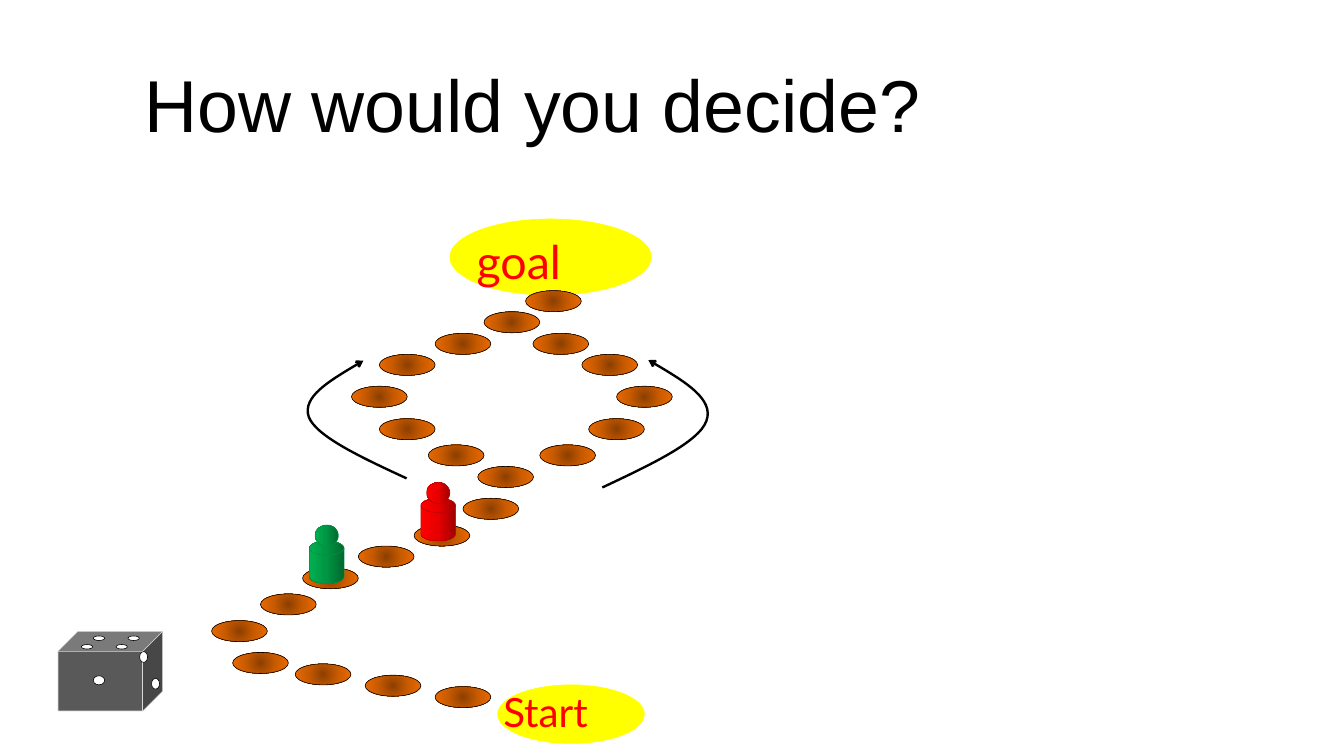
from lxml import etree
from pptx import Presentation
from pptx.dml.color import RGBColor
from pptx.enum.shapes import MSO_SHAPE
from pptx.enum.text import MSO_AUTO_SIZE
from pptx.oxml import parse_xml
from pptx.oxml.ns import nsdecls, qn
from pptx.util import Emu, Pt

OVAL, DISK, CUBE = MSO_SHAPE.OVAL, MSO_SHAPE.FLOWCHART_MAGNETIC_DISK, MSO_SHAPE.CUBE
FIT_SHAPE = MSO_AUTO_SIZE.SHAPE_TO_FIT_TEXT
PX = 9144  # one px is a hundredth of an inch
RADIAL = '<a:path path="circle"><a:fillToRect l="50000" t="50000" r="50000" b="50000"/></a:path>'
LEFTWARD = '<a:lin ang="10800000" scaled="0"/>'
BROWNS = ("8D4000", "C85B00", "EE6B00")
REDS = ("A00000", "E60000", "FF0000")
GREENS = ("00682F", "009443", "00B050")

deck = Presentation()
deck.slide_width, deck.slide_height = Emu(2363 * PX), Emu(1329 * PX)
page = deck.slides.add_slide(deck.slide_layouts[6])


def add_part(kind, left, top, width, height, fill, line, shading=None):
    """Add a shape; fill is one colour, or three colours with a shading."""
    part = page.shapes.add_shape(kind, *(Emu(n * PX) for n in (left, top, width, height)))
    part.shadow.inherit = False
    part.line.color.rgb = RGBColor.from_string(line)
    part.line.width = Pt(0.75)
    if shading is None:
        part.fill.solid()
        part.fill.fore_color.rgb = RGBColor.from_string(fill)
    else:
        part.fill.background()
        stops = "".join(f'<a:gs pos="{i * 50000}"><a:srgbClr val="{c}"/></a:gs>'
                        for i, c in enumerate(fill))
        properties = part.element.spPr
        properties.replace(properties.find(qn("a:noFill")), parse_xml(
            f'<a:gradFill {nsdecls("a")} rotWithShape="1"><a:gsLst>{stops}</a:gsLst>'
            f'{shading}</a:gradFill>'))
    return part


def add_label(words, left, top, width, height, size, font, color):
    """Add a one-line text box and return its frame."""
    box = page.shapes.add_textbox(*(Emu(n * PX) for n in (left, top, width, height)))
    frame = box.text_frame
    frame.word_wrap = False
    frame.auto_size = FIT_SHAPE
    para = frame.paragraphs[0]
    para.text = words
    para.font.size = Pt(size)
    para.font.name = font
    para.font.color.rgb = RGBColor.from_string(color)
    return frame


# Goal field
add_part(OVAL, 791, 385, 354, 134, "FFFF00", "FFFF00")
add_label("goal", 828, 404, 173, 109, 59, "Lato", "FF0000")

# Stepping stones: path from the start, left branch, right branch, way to the goal
stones = [
    (765, 1207), (642, 1187), (519, 1167), (409, 1147), (372, 1091), (458, 1044),
    (532, 998), (630, 960), (728, 923), (814, 876), (840, 820),
    (753, 782), (667, 736), (618, 679), (667, 623), (765, 586),
    (949, 782), (1035, 736), (1084, 679), (1023, 623), (937, 586),
    (851, 548), (924, 511),
]
for left, top in stones:
    add_part(OVAL, left, top, 98, 37, BROWNS, "000000", RADIAL)

# Start field
add_part(OVAL, 875, 1204, 258, 103, "FFFF00", "FFFF00")
add_label("Start", 875, 1204, 171, 96, 51, "Lato", "FF0000")

# Playing pieces: body and head
for left, top, shades, edge in ((740, 848, REDS, "C00000"), (544, 923, GREENS, "009242")):
    add_part(DISK, left, top + 28, 61, 75, shades, edge, LEFTWARD)
    add_part(OVAL, left + 10, top, 41, 37, shades, edge, LEFTWARD)

# Die with its pips
add_part(CUBE, 102, 1110, 184, 140, "595959", "D9D9D9")
top_pips = [(164, 1118), (225, 1118), (143, 1133), (204, 1133)]
for left, top in top_pips:
    add_part(OVAL, left, top, 20, 8, "FFFFFF", "000000")
add_part(OVAL, 164, 1188, 20, 16, "FFFFFF", "000000")
for left, top in ((243, 1148), (264, 1195)):
    add_part(OVAL, left, top, 19, 14, "FFFFFF", "000000").rotation = 270

# Curved arrows around both branches: a start, then three points per Bézier segment
arrows = [
    [(715, 841), (635, 804), (556, 767), (543, 733), (531, 698), (585, 666), (639, 634)],
    [(1059, 857), (1144, 817), (1229, 777), (1242, 740), (1256, 702), (1198, 667), (1140, 633)],
]
for points in arrows:
    builder = page.shapes.build_freeform(*points[0], scale=PX)
    builder.add_line_segments(points[1:], close=False)
    arrow = builder.convert_to_shape()
    arrow.shadow.inherit = False
    arrow.fill.background()
    arrow.line.color.rgb = RGBColor.from_string("000000")
    arrow.line.width = Pt(3)
    etree.SubElement(arrow.line._get_or_add_ln(), qn("a:tailEnd"), type="arrow")
    steps = list(arrow.element.iter(qn("a:lnTo")))
    outline = steps[0].getparent()
    for first in range(0, len(steps), 3):
        curve = etree.SubElement(outline, qn("a:cubicBezTo"))
        for step in steps[first:first + 3]:
            curve.append(step[0])
            outline.remove(step)

# Title
title = add_label("How would you decide?", 233, 92, 1421, 178, 93, "Arial", "000000")
title.margin_left = title.margin_right = Emu(21 * PX)
title.margin_top = title.margin_bottom = Emu(11 * PX)

deck.save("out.pptx")
